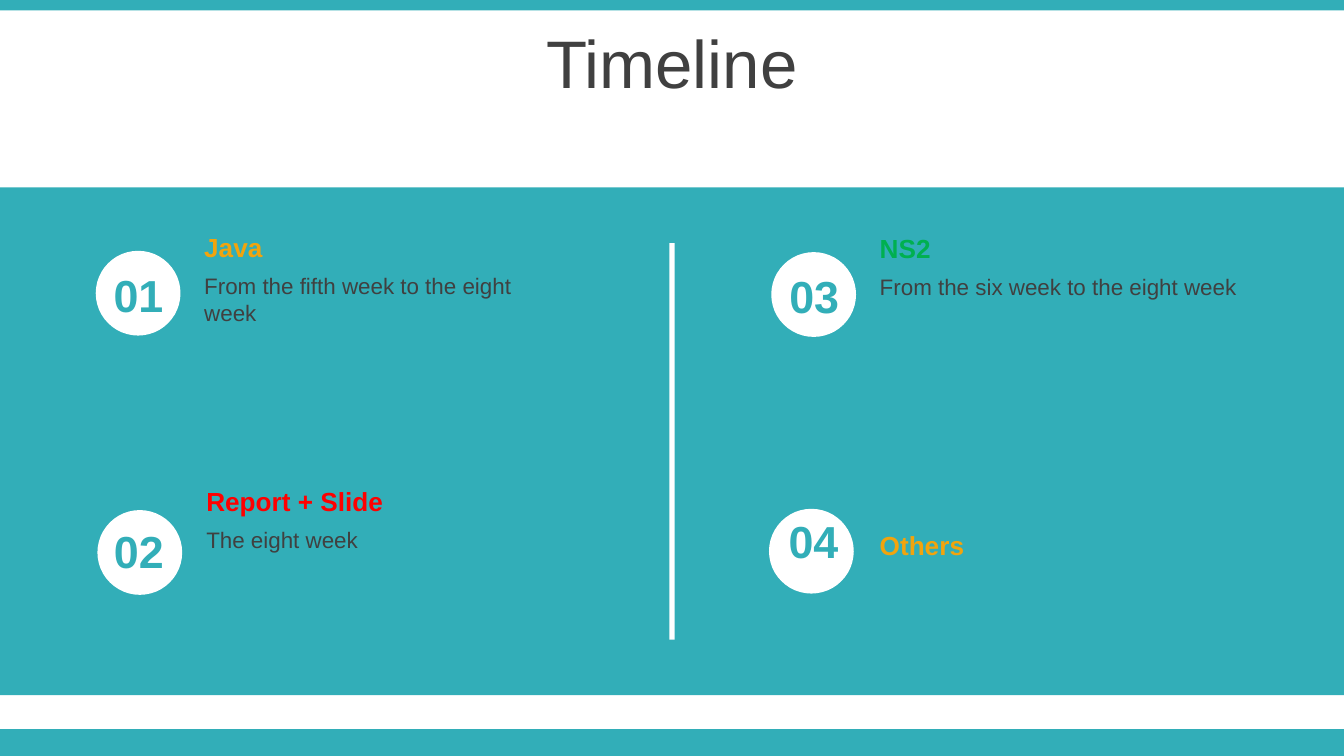
import pptx
import pptx.util
import pptx.dml.color
import pptx.enum.shapes
import pptx.enum.text

Pt = pptx.util.Pt
SHAPES = pptx.enum.shapes.MSO_SHAPE
ALIGN = pptx.enum.text.PP_ALIGN
ANCHOR = pptx.enum.text.MSO_ANCHOR

TEAL, WHITE, GRAY = "32AEB8", "FFFFFF", "404040"
ORANGE, RED, GREEN = "F2A40D", "FF0000", "00B050"

# Content: number, heading, heading colour, detail,
# then left/top of the circle, the number and the heading
TITLE = "Timeline"
STEPS = [
    ("01", "Java", ORANGE, "From the fifth week to the eight week",
     (51.3, 134.4), (49, 139.9), (102.3, 120.2)),
    ("02", "Report + Slide", RED, "The eight week",
     (52.2, 273.3), (49.2, 277.1), (103.4, 256.3)),
    ("03", "NS2", GREEN, "From the six week to the eight week",
     (413.2, 135.1), (411, 140.2), (464.2, 121.1)),
    ("04", "Others", ORANGE, None,
     (412, 272.6), (410.6, 271.6), (464.2, 279.9)),
]
BARS = [(0, 390.7, 720, 14.3), (0, 0, 720, 5.6), (0, 100.4, 720, 272)]
DIVIDER = (358.6, 130.2, 2.8, 212.5)
CIRCLE, NUMBER_WIDTH, TEXT_WIDTH, DETAIL_DROP = 45.4, 50.4, 209.5, 21.9

deck = pptx.Presentation()
deck.slide_width, deck.slide_height = Pt(720), Pt(405)
page = deck.slides.add_slide(deck.slide_layouts[6])


def color(value):
    return pptx.dml.color.RGBColor.from_string(value)


def add_block(kind, place, fill):
    block = page.shapes.add_shape(kind, *map(Pt, place))
    block.shadow.inherit = False
    block.fill.solid()
    block.fill.fore_color.rgb = color(fill)
    block.line.fill.background()


def add_text(text, place, size, ink, bold=False, align=ALIGN.LEFT,
             anchor=ANCHOR.TOP, before=0):
    box = page.shapes.add_textbox(*map(Pt, place))
    frame = box.text_frame
    frame.word_wrap = True
    frame.vertical_anchor = anchor
    para = frame.paragraphs[0]
    para.alignment = align
    para.space_before = Pt(before)
    span = para.add_run()
    span.text = text
    for name, value in {"name": "Arial", "size": Pt(size), "bold": bold}.items():
        setattr(span.font, name, value)
    span.font.color.rgb = color(ink)


# Bands, title and divider
for bar in BARS:
    add_block(SHAPES.RECTANGLE, bar, TEAL)
add_text(TITLE, (0, 10.1, 720, 45.4), 36, GRAY, align=ALIGN.CENTER,
         anchor=ANCHOR.MIDDLE, before=5)
add_block(SHAPES.RECTANGLE, DIVIDER, WHITE)

# Numbered steps
for number, heading, ink, detail, circle_at, number_at, (left, top) in STEPS:
    add_block(SHAPES.OVAL, (*circle_at, CIRCLE, CIRCLE), WHITE)
    add_text(number, (*number_at, NUMBER_WIDTH, 36.3), 24, TEAL, True, ALIGN.CENTER)
    add_text(heading, (left, top, TEXT_WIDTH, 24.2), 14, ink, True)
    if detail:
        height = 36.3 if number == "01" else 21.8
        add_text(detail, (left, top + DETAIL_DROP, TEXT_WIDTH, height), 12, GRAY)

deck.save("out.pptx")
